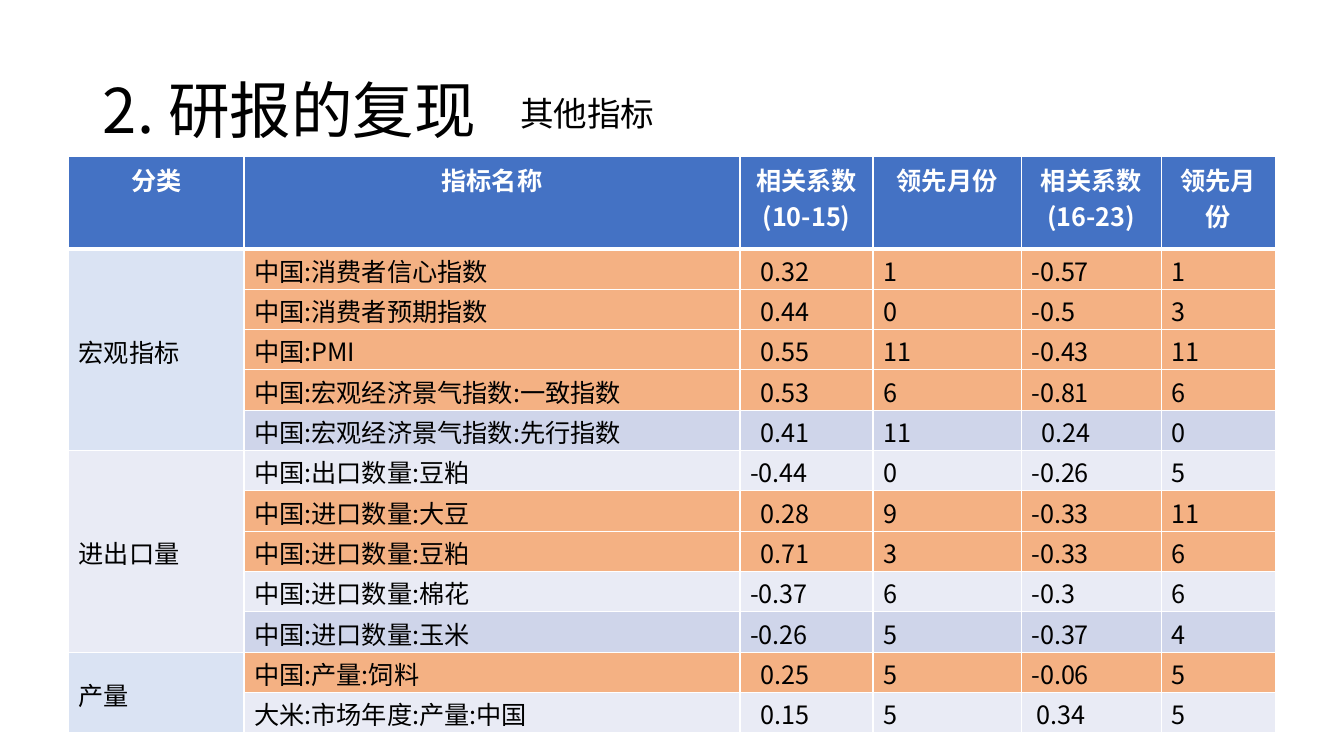
from lxml.etree import SubElement
from pptx import Presentation
from pptx.dml.color import RGBColor
from pptx.enum.text import MSO_ANCHOR, MSO_AUTO_SIZE, PP_ALIGN
from pptx.oxml.ns import qn
from pptx.util import Pt

PX = 9144
FONT = "Noto Sans CJK SC"
COLORS = {
    "text": "000000", "white": "FFFFFF", "header": "4472C4",
    "orange": "F4B183", "lavender": "CFD5EA", "pale": "E9EBF5", "blue": "DAE3F3",
}
HEADERS = ["分类", "指标名称", "相关系数(10-15)", "领先月份", "相关系数(16-23)", "领先月份"]
COLUMN_WIDTHS = [174, 492, 132, 147, 139, 113]
COEFFICIENT_COLUMNS = (2, 4)
POSITIVE_INDENT = 10
SPECIAL_INDENTS = {"0.34": 5}
CATEGORIES = [
    ("宏观指标", "blue", [
        ("orange", "中国:消费者信心指数", "0.32", "1", "-0.57", "1"),
        ("orange", "中国:消费者预期指数", "0.44", "0", "-0.5", "3"),
        ("orange", "中国:PMI", "0.55", "11", "-0.43", "11"),
        ("orange", "中国:宏观经济景气指数:一致指数", "0.53", "6", "-0.81", "6"),
        ("lavender", "中国:宏观经济景气指数:先行指数", "0.41", "11", "0.24", "0"),
    ]),
    ("进出口量", "pale", [
        ("pale", "中国:出口数量:豆粕", "-0.44", "0", "-0.26", "5"),
        ("orange", "中国:进口数量:大豆", "0.28", "9", "-0.33", "11"),
        ("orange", "中国:进口数量:豆粕", "0.71", "3", "-0.33", "6"),
        ("pale", "中国:进口数量:棉花", "-0.37", "6", "-0.3", "6"),
        ("lavender", "中国:进口数量:玉米", "-0.26", "5", "-0.37", "4"),
    ]),
    ("产量", "blue", [
        ("orange", "中国:产量:饲料", "0.25", "5", "-0.06", "5"),
        ("pale", "大米:市场年度:产量:中国", "0.15", "5", "0.34", "5"),
    ]),
]


class IndicatorSlide:
    """Hold the style and the slide, and add each kind of element."""

    def __init__(self):
        self.deck = Presentation()
        self.deck.slide_width, self.deck.slide_height = 1333 * PX, 750 * PX
        self.slide = self.deck.slides.add_slide(self.deck.slide_layouts[5])

    def set_text(self, frame, text, size, color="text", bold=False, align=PP_ALIGN.LEFT):
        frame.text = text
        paragraph = frame.paragraphs[0]
        paragraph.alignment = align
        for run in paragraph.runs:
            run.font.size, run.font.bold, run.font.name = Pt(size), bold, FONT
            run.font.color.rgb = RGBColor.from_string(COLORS[color])
            SubElement(run._r.get_or_add_rPr(), qn("a:ea"), typeface=FONT)
        return paragraph

    def title(self, text, left, top, width, height):
        heading = self.slide.shapes.title
        heading.left, heading.top = left * PX, top * PX
        heading.width, heading.height = width * PX, height * PX
        frame = heading.text_frame
        frame.auto_size = MSO_AUTO_SIZE.NONE
        frame.vertical_anchor = MSO_ANCHOR.MIDDLE
        self.set_text(frame, text, 44).line_spacing = 0.9

    def label(self, text, left, top, width, height):
        box = self.slide.shapes.add_textbox(left * PX, top * PX, width * PX, height * PX)
        box.text_frame.word_wrap = True
        box.text_frame.auto_size = MSO_AUTO_SIZE.SHAPE_TO_FIT_TEXT
        self.set_text(box.text_frame, text, 24)

    def borders(self, cell, bottom):
        properties = cell._tc.get_or_add_tcPr()
        for side, points in (("L", 1), ("R", 1), ("T", 1), ("B", bottom)):
            line = SubElement(properties, qn(f"a:ln{side}"), w=str(Pt(points)))
            fill = SubElement(line, qn("a:solidFill"))
            SubElement(fill, qn("a:srgbClr"), val=COLORS["white"])

    def cell(self, cell, text, fill, header=False, indent=0):
        self.borders(cell, 3 if header else 1)
        cell.fill.solid()
        cell.fill.fore_color.rgb = RGBColor.from_string(COLORS[fill])
        cell.margin_top = (5 if header else 3) * PX
        cell.margin_bottom = 0
        style = ("white", True, PP_ALIGN.CENTER) if header else ()
        paragraph = self.set_text(cell.text_frame, text, 18, *style)
        if indent:
            paragraph._p.get_or_add_pPr().set("marL", str(indent * PX))

    def table(self, left, top, header_height, row_height):
        count = sum(len(indicators) for _, _, indicators in CATEGORIES)
        grid = self.slide.shapes.add_table(
            count + 1, len(HEADERS), left * PX, top * PX,
            sum(COLUMN_WIDTHS) * PX, (header_height + count * row_height) * PX).table
        for column, width in zip(grid.columns, COLUMN_WIDTHS):
            column.width = width * PX
        for index, row in enumerate(grid.rows):
            row.height = (row_height if index else header_height) * PX
        for column, heading in enumerate(HEADERS):
            self.cell(grid.cell(0, column), heading, "header", header=True)
        first = 1
        for category, category_fill, indicators in CATEGORIES:
            for row, (fill, *values) in enumerate(indicators, first):
                self.cell(grid.cell(row, 0), category if row == first else "", category_fill)
                for column, value in enumerate(values, 1):
                    positive = column in COEFFICIENT_COLUMNS and not value.startswith("-")
                    indent = SPECIAL_INDENTS.get(value, POSITIVE_INDENT) if positive else 0
                    self.cell(grid.cell(row, column), value, fill, indent=indent)
            category_cell = grid.cell(first, 0)
            category_cell.merge(grid.cell(row, 0))
            category_cell.vertical_anchor = MSO_ANCHOR.MIDDLE
            first = row + 1


def main():
    page = IndicatorSlide()
    page.title("2. 研报的复现", 92, 40, 1150, 145)
    page.label("其他指标", 506, 87, 177, 50)
    page.table(68, 155, 92, 40)
    page.deck.save("out.pptx")


if __name__ == "__main__":
    main()
